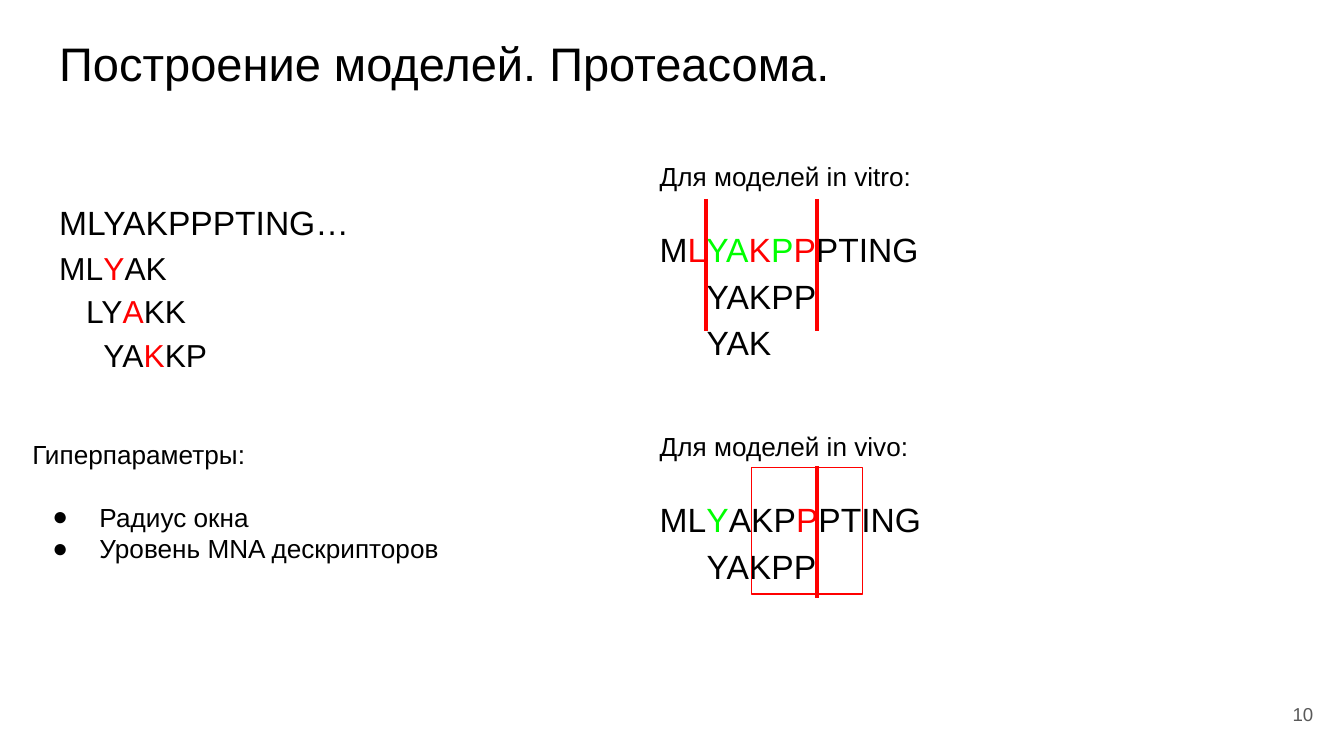
from lxml.etree import SubElement
from pptx import Presentation
from pptx.dml.color import RGBColor
from pptx.enum.shapes import MSO_CONNECTOR, MSO_SHAPE
from pptx.enum.text import MSO_ANCHOR, MSO_AUTO_SIZE, PP_ALIGN
from pptx.oxml.ns import qn
from pptx.util import Inches, Pt

THEME = {
    "font": "Arial",
    "text": RGBColor(0, 0, 0),
    "red": RGBColor(255, 0, 0),
    "green": RGBColor(0, 255, 0),
    "muted": RGBColor(0x59, 0x59, 0x59),
    "title_size": Pt(25.2),
    "sequence_size": Pt(18),
    "window_size": Pt(17),
    "label_size": Pt(14),
    "number_size": Pt(10),
}
GAP = Pt(17)


def place(shape, left, top, width, height, inset_top=0.1, anchor=MSO_ANCHOR.TOP):
    """Position a text shape and return its frame."""
    box = {"left": left, "top": top, "width": width, "height": height}
    for name, value in box.items():
        setattr(shape, name, Inches(value))
    frame = shape.text_frame
    settings = {
        "word_wrap": True, "auto_size": MSO_AUTO_SIZE.NONE, "vertical_anchor": anchor,
        "margin_left": Inches(0.1), "margin_right": Inches(0.1),
        "margin_top": Inches(inset_top), "margin_bottom": Inches(0.1),
    }
    for name, value in settings.items():
        setattr(frame, name, value)
    return frame


def write(frame, runs, size, indent=0.0, bullet=False, color="text", **paragraph_format):
    """Fill the first paragraph if empty, else add one; runs are text or (text, color)."""
    paragraph = frame.paragraphs[0]
    if paragraph.runs:
        paragraph = frame.add_paragraph()
    settings = {"alignment": PP_ALIGN.LEFT, "line_spacing": 1.0,
                "space_before": Pt(0), "space_after": Pt(0)}
    for name, value in (settings | paragraph_format).items():
        setattr(paragraph, name, value)
    properties = paragraph._p.get_or_add_pPr()
    properties.set("marL", str(Inches(indent)))
    properties.set("indent", str(Inches(-0.35 if bullet else 0)))
    if bullet:
        SubElement(properties, qn("a:buFont")).set("typeface", THEME["font"])
        SubElement(properties, qn("a:buChar")).set("char", "●")
    else:
        SubElement(properties, qn("a:buNone"))
    for item in runs:
        text, run_color = (item, color) if isinstance(item, str) else item
        run = paragraph.add_run()
        run.text = text
        run.font.name = THEME["font"]
        run.font.size = THEME[size]
        run.font.color.rgb = THEME[run_color]


# Widescreen slide, 16:9
presentation = Presentation()
presentation.slide_width = Inches(10)
presentation.slide_height = Inches(10 * 9 / 16)
slide = presentation.slides.add_slide(presentation.slide_layouts[3])
title, windows, parameters = slide.placeholders

# Title
frame = place(title, 0.34, 0.16, 9.32, 0.63)
write(frame, ["Построение моделей. Протеасома."], "title_size")

# Sliding windows along the sequence
frame = place(windows, 0.34, 0.89, 2.6, 4.11, inset_top=0.57)
write(frame, ["MLYAKPPPTING…"], "sequence_size", line_spacing=1.15)
for indent, runs in [
    (0, ["ML", ("Y", "red"), "AK"]),
    (0.2, ["LY", ("A", "red"), "KK"]),
    (0.33, ["YA", ("K", "red"), "KP"]),
]:
    write(frame, runs, "window_size", indent, line_spacing=1.15)

# Hyperparameters
frame = place(parameters, 0.14, 3.16, 3.24, 1.14)
write(frame, ["Гиперпараметры:"], "label_size")
for text, gap in [("Радиус окна", GAP), ("Уровень MNA дескрипторов", Pt(0))]:
    write(frame, [text], "label_size", 0.5, bullet=True, space_before=gap)

# Model examples: heading, coloured sequence, peptides aligned under it
for heading, box, sequence, peptides in [
    ("Для моделей in vitro:", (4.81, 1.09, 4.39, 2.12),
     ["M", ("L", "red"), ("YA", "green"), ("K", "red"), ("P", "green"), ("P", "red"), "PTING"],
     ["YAKPP", "YAK"]),
    ("Для моделей in vivo:", (4.81, 3.1, 3.28, 1.32),
     ["ML", ("Y", "green"), "AKP", ("P", "red"), "PTING"],
     ["YAKPP"]),
]:
    frame = place(slide.shapes.add_textbox(0, 0, 0, 0), *box)
    write(frame, [heading], "label_size")
    write(frame, sequence, "sequence_size", line_spacing=1.15, space_before=GAP)
    for peptide in peptides:
        write(frame, [peptide], "sequence_size", 0.35, line_spacing=1.15)

# Window around the cleavage site
window = slide.shapes.add_shape(
    MSO_SHAPE.RECTANGLE, Inches(5.59), Inches(3.48), Inches(0.83), Inches(0.94))
window.shadow.inherit = False
window.fill.background()
window.line.color.rgb = THEME["red"]
window.line.width = Pt(0.75)

# Cleavage sites
for x, y in [(5.25, 1.48), (6.08, 1.48), (6.08, 3.47)]:
    site = slide.shapes.add_connector(
        MSO_CONNECTOR.STRAIGHT, Inches(x), Inches(y), Inches(x), Inches(y + 0.98))
    site.line.color.rgb = THEME["red"]
    site.line.width = Pt(2.25)
    SubElement(site._element.spPr, qn("a:effectLst"))

# Slide number
frame = place(slide.shapes.add_textbox(0, 0, 0, 0), 9.27, 5.1, 0.6, 0.43,
              anchor=MSO_ANCHOR.MIDDLE)
write(frame, ["10"], "number_size", color="muted", alignment=PP_ALIGN.RIGHT)

presentation.save("out.pptx")
